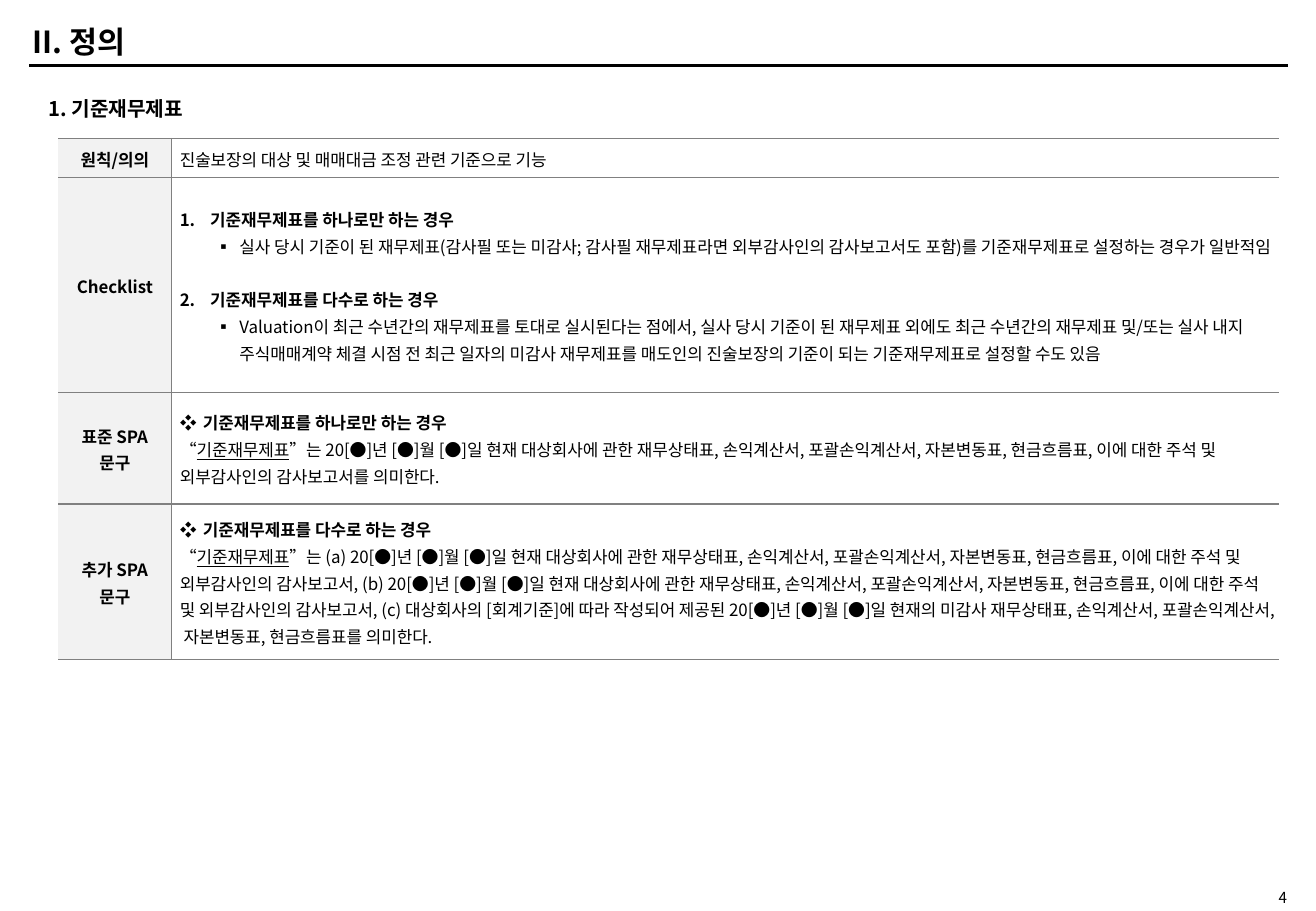
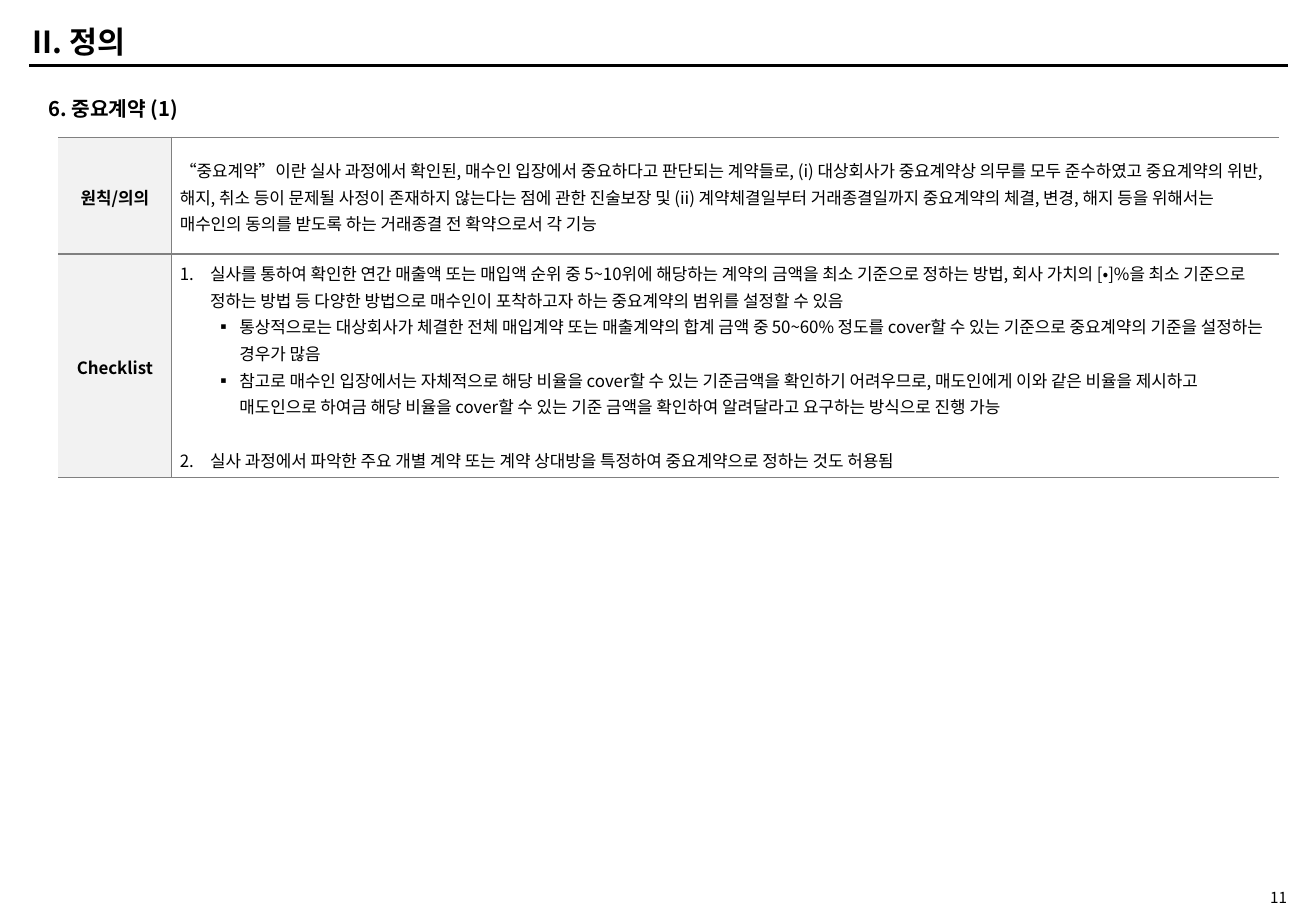
from dataclasses import dataclass

from lxml import etree
from pptx import Presentation
from pptx.dml.color import RGBColor
from pptx.enum.shapes import MSO_CONNECTOR
from pptx.enum.text import MSO_ANCHOR, MSO_AUTO_SIZE, PP_ALIGN
from pptx.oxml.ns import qn
from pptx.util import Inches, Pt

FONT = "Noto Sans CJK KR"
BLACK = RGBColor(0x00, 0x00, 0x00)
GRAY = RGBColor(0x80, 0x80, 0x80)
LABEL_FILL = RGBColor(0xF2, 0xF2, 0xF2)
LEFT, CENTER, RIGHT = PP_ALIGN.LEFT, PP_ALIGN.CENTER, PP_ALIGN.RIGHT
TOP, MIDDLE = MSO_ANCHOR.TOP, MSO_ANCHOR.MIDDLE
NO_AUTOFIT = MSO_AUTO_SIZE.NONE
STRAIGHT = MSO_CONNECTOR.STRAIGHT

BODY_SIZE = 10
COLUMNS = (0.93, 9.12)
GAP = 16  # points between numbered items

# Paragraph kinds: level, left margin, hanging indent, bullet
KINDS = {
    "plain": (0, 0, 0, None),
    "number": (0, 0.25, 0.25, "auto"),
    "square": (1, 0.49, 0.2, "▪"),
    "diamond": (0, 0.19, 0.19, "❖"),
}


@dataclass
class Para:
    kind: str
    text: str
    bold: bool = False
    term: str = ""  # underlined defined term, quoted before the text
    start: int = 1
    before: int = 0


class Deck:
    """Holds the shared style and the current slide."""

    def __init__(self):
        self.prs = Presentation()
        self.prs.slide_width = Inches(10.83)
        self.prs.slide_height = Inches(7.5)
        self.s = None

    def slide(self, title, heading, page):
        self.s = self.prs.slides.add_slide(self.prs.slide_layouts[6])
        self.rule(0.24, 10.6, 0.54)
        self.text(page, 9.75, 7.31, 0.94, 0.15, 9, align=RIGHT, margin=0)
        self.text(title, 0.17, 0.15, 5.11, 0.38, 18, bold=True)
        self.text(heading, 0.3, 0.74, 10.02, 0.3, 12, bold=True, anchor=TOP)

    def rule(self, x1, x2, y):
        c = self.s.shapes.add_connector(
            STRAIGHT, Inches(x1), Inches(y), Inches(x2), Inches(y))
        c.line.color.rgb = BLACK
        c.line.width = Pt(2)
        etree.SubElement(c._element.spPr, qn("a:effectLst"))

    def run(self, p, text, size, bold=False, underline=False):
        r = p.add_run()
        r.text = text
        r.font.name = FONT
        r.font.size = Pt(size)
        r.font.bold = bold
        r.font.underline = underline
        r.font.color.rgb = BLACK
        etree.SubElement(r.font._element, qn("a:ea"), typeface=FONT)

    def text(self, text, x, y, w, h, size, bold=False, align=LEFT,
             anchor=MIDDLE, margin=0.05):
        sp = self.s.shapes.add_textbox(Inches(x), Inches(y), Inches(w), Inches(h))
        tf = sp.text_frame
        tf.word_wrap = True
        tf.auto_size = NO_AUTOFIT
        tf.vertical_anchor = anchor
        tf.margin_top = tf.margin_bottom = Inches(margin)
        p = tf.paragraphs[0]
        p.alignment = align
        self.run(p, text, size, bold)

    def paragraph(self, p, para):
        level, left, hang, bullet = KINDS[para.kind]
        p.level = level
        p.alignment = LEFT
        p.line_spacing = 1.1
        p.space_before = Pt(para.before)
        pPr = p._p.get_or_add_pPr()
        pPr.set("marL", str(Inches(left)))
        pPr.set("indent", str(-Inches(hang)))
        if bullet == "auto":
            etree.SubElement(pPr, qn("a:buFont"), typeface=FONT)
            etree.SubElement(pPr, qn("a:buAutoNum"), type="arabicPeriod",
                             startAt=str(para.start))
        elif bullet:
            etree.SubElement(pPr, qn("a:buFont"), typeface=FONT)
            etree.SubElement(pPr, qn("a:buChar"), char=bullet)
        else:
            etree.SubElement(pPr, qn("a:buNone"))
        if para.term:
            self.run(p, "“", BODY_SIZE)
            self.run(p, para.term, BODY_SIZE, underline=True)
        self.run(p, para.text, BODY_SIZE, para.bold)

    def label(self, p, lines):
        p.alignment = CENTER
        p.line_spacing = 1.1
        for i, line in enumerate(lines):
            if i:
                p.add_line_break()
            self.run(p, line, BODY_SIZE, bold=True)

    def borders(self, cell, sides):
        tcPr = cell._tc.get_or_add_tcPr()
        for side in "LRTB":
            ln = etree.SubElement(tcPr, qn(f"a:ln{side}"), w=str(Pt(1)))
            if side in sides:
                fill = etree.SubElement(ln, qn("a:solidFill"))
                etree.SubElement(fill, qn("a:srgbClr"), val=str(GRAY))
            else:
                etree.SubElement(ln, qn("a:noFill"))

    def table(self, y, rows):
        """Each row is (height, label lines, body paragraphs)."""
        frame = self.s.shapes.add_table(
            len(rows), 2, Inches(0.48), Inches(y), Inches(sum(COLUMNS)),
            Inches(sum(row[0] for row in rows)))
        tbl = frame.table
        tbl.first_row = tbl.horz_banding = False
        for col, width in zip(tbl.columns, COLUMNS):
            col.width = Inches(width)
        for i, (height, lines, paras) in enumerate(rows):
            tbl.rows[i].height = Inches(height)
            head, body = tbl.cell(i, 0), tbl.cell(i, 1)
            for cell, sides in ((head, "RTB"), (body, "LTB")):
                cell.vertical_anchor = MIDDLE
                cell.margin_left = cell.margin_right = Inches(0.07)
                cell.margin_top = cell.margin_bottom = 0
                self.borders(cell, sides)
            head.fill.solid()
            head.fill.fore_color.rgb = LABEL_FILL
            body.fill.background()
            self.label(head.text_frame.paragraphs[0], lines)
            tf = body.text_frame
            for j, para in enumerate(paras):
                self.paragraph(tf.add_paragraph() if j else tf.paragraphs[0], para)


# Wording used more than once
TITLE = "II. 정의"
PRINCIPLE = ["원칙/의의"]
CHECKLIST = ["Checklist"]
BASE = "기준재무제표"
SINGLE = f"{BASE}를 하나로만 하는 경우"
MULTIPLE = f"{BASE}를 다수로 하는 경우"
DATE = "20[●]년 [●]월 [●]일 현재"
STATEMENTS = "재무상태표, 손익계산서, 포괄손익계산서, 자본변동표, 현금흐름표"
AUDITED = (f"{DATE} 대상회사에 관한 {STATEMENTS}, "
           "이에 대한 주석 및 외부감사인의 감사보고서")


def main():
    deck = Deck()

    # Reference financial statements
    deck.slide(TITLE, f"1. {BASE}", "4")
    deck.table(1.14, [
        (0.32, PRINCIPLE, [
            Para("plain", "진술보장의 대상 및 매매대금 조정 관련 기준으로 기능")]),
        (1.77, CHECKLIST, [
            Para("number", SINGLE, bold=True),
            Para("square", "실사 당시 기준이 된 재무제표(감사필 또는 미감사; 감사필 "
                 "재무제표라면 외부감사인의 감사보고서도 포함)를 기준재무제표로 "
                 "설정하는 경우가 일반적임"),
            Para("number", MULTIPLE, bold=True, start=2, before=GAP),
            Para("square", "Valuation이 최근 수년간의 재무제표를 토대로 실시된다는 "
                 "점에서, 실사 당시 기준이 된 재무제표 외에도 최근 수년간의 재무제표 "
                 "및/또는 실사 내지 주식매매계약 체결 시점 전 최근 일자의 미감사 "
                 "재무제표를 매도인의 진술보장의 기준이 되는 기준재무제표로 설정할 "
                 "수도 있음")]),
        (0.92, ["표준 SPA", "문구"], [
            Para("diamond", SINGLE, bold=True),
            Para("plain", f"”는 {AUDITED}를 의미한다.", term=BASE)]),
        (1.28, ["추가 SPA", "문구"], [
            Para("diamond", MULTIPLE, bold=True),
            Para("plain", f"”는 (a) {AUDITED}, (b) {AUDITED}, (c) 대상회사의 "
                 f"[회계기준]에 따라 작성되어 제공된 {DATE}의 미감사 "
                 f"{STATEMENTS}를 의미한다.", term=BASE)]),
    ])

    # Material contracts
    deck.slide(TITLE, "6. 중요계약 (1)", "11")
    deck.table(1.13, [
        (0.96, PRINCIPLE, [
            Para("plain", "“중요계약”이란 실사 과정에서 확인된, 매수인 입장에서 "
                 "중요하다고 판단되는 계약들로, (i) 대상회사가 중요계약상 의무를 모두 "
                 "준수하였고 중요계약의 위반, 해지, 취소 등이 문제될 사정이 존재하지 "
                 "않는다는 점에 관한 진술보장 및 (ii) 계약체결일부터 거래종결일까지 "
                 "중요계약의 체결, 변경, 해지 등을 위해서는 매수인의 동의를 받도록 "
                 "하는 거래종결 전 확약으로서 각 기능")]),
        (1.84, CHECKLIST, [
            Para("number", "실사를 통하여 확인한 연간 매출액 또는 매입액 순위 중 "
                 "5~10위에 해당하는 계약의 금액을 최소 기준으로 정하는 방법, 회사 "
                 "가치의 [•]%을 최소 기준으로 정하는 방법 등 다양한 방법으로 매수인이 "
                 "포착하고자 하는 중요계약의 범위를 설정할 수 있음"),
            Para("square", "통상적으로는 대상회사가 체결한 전체 매입계약 또는 "
                 "매출계약의 합계 금액 중 50~60% 정도를 cover할 수 있는 기준으로 "
                 "중요계약의 기준을 설정하는 경우가 많음"),
            Para("square", "참고로 매수인 입장에서는 자체적으로 해당 비율을 cover할 수 "
                 "있는 기준금액을 확인하기 어려우므로, 매도인에게 이와 같은 비율을 "
                 "제시하고 매도인으로 하여금 해당 비율을 cover할 수 있는 기준 금액을 "
                 "확인하여 알려달라고 요구하는 방식으로 진행 가능"),
            Para("number", "실사 과정에서 파악한 주요 개별 계약 또는 계약 상대방을 "
                 "특정하여 중요계약으로 정하는 것도 허용됨", start=2, before=GAP)]),
    ])

    deck.prs.save("out.pptx")


if __name__ == "__main__":
    main()
